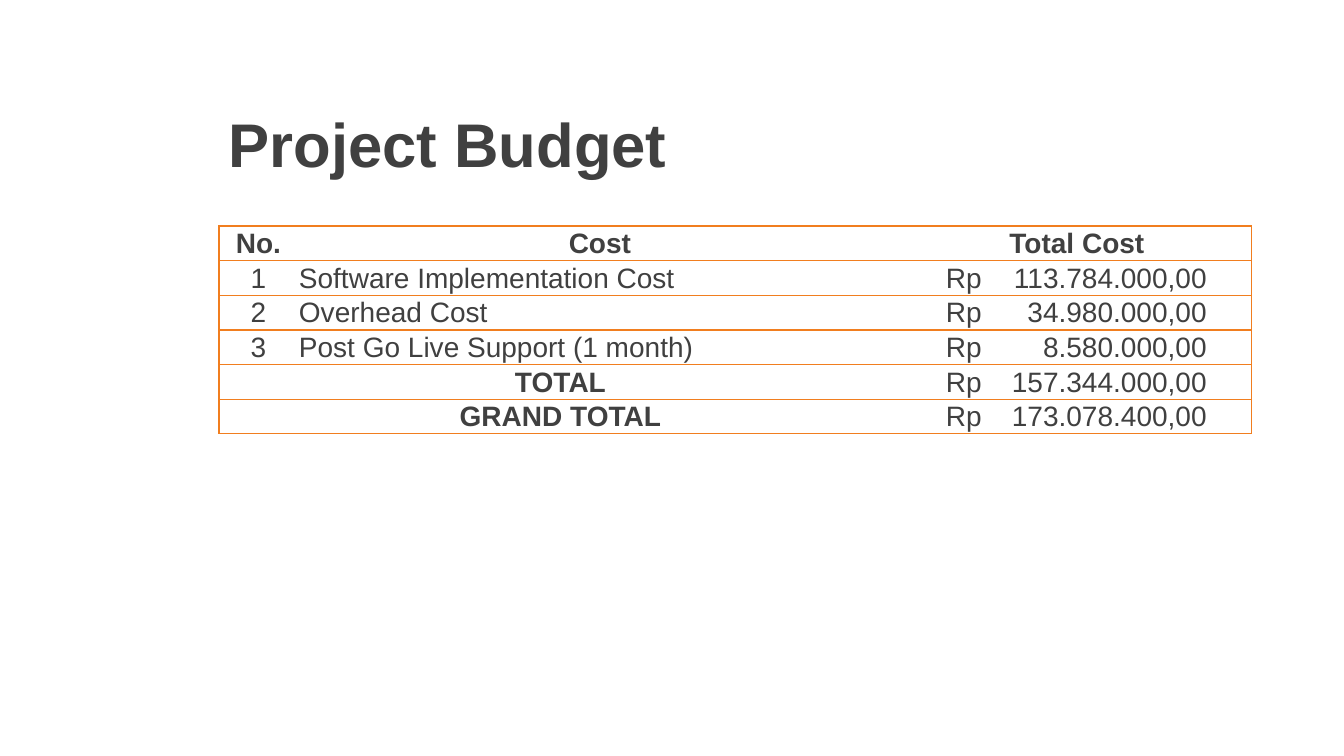
"""Build the project budget slide."""
from dataclasses import dataclass

from lxml import etree
from pptx import Presentation
from pptx import util as u
from pptx.dml.color import RGBColor
from pptx.enum import text
from pptx.oxml import ns

PX_PER_INCH = 100.8
FONT = "Arial"
INK, ORANGE, WHITE = "404040", "F17E1F", "FFFFFF"
LEFT, WIDTH = 219, 1033
COLUMNS = (79, 604, 350)
ROW_HEIGHT = 32
CURRENCY_INDENT, AMOUNT_TAB = 44, 261
CENTER, START = text.PP_ALIGN.CENTER, text.PP_ALIGN.LEFT


@dataclass(frozen=True)
class BudgetRow:
    """One table row; a row without a number spans its label."""
    number: str
    label: str
    amount: str
    header: bool = False


BUDGET = (
    BudgetRow("No.", "Cost", "Total Cost", header=True),
    BudgetRow("1", "Software Implementation Cost", "113.784.000,00"),
    BudgetRow("2", "Overhead Cost", "34.980.000,00"),
    BudgetRow("3", "Post Go Live Support (1 month)", "8.580.000,00"),
    BudgetRow("", "TOTAL", "157.344.000,00"),
    BudgetRow("", "GRAND TOTAL", "173.078.400,00"),
)


def px(length: int) -> u.Emu:
    """Turn pixels into EMU."""
    return u.Emu(round(length * 914400 / PX_PER_INCH))


def color(value: str) -> RGBColor:
    """Turn a hex string into a colour."""
    return RGBColor.from_string(value)


def style(paragraph, size: int, bold: bool, align) -> None:
    """Set the font and alignment of a paragraph."""
    paragraph.alignment = align
    font = paragraph.font
    font.name, font.size, font.bold = FONT, u.Pt(size), bold
    font.color.rgb = color(INK)


def add_borders(cell, sides: str) -> None:
    """Draw the named sides of a cell and hide the others."""
    properties = cell._tc.get_or_add_tcPr()
    for side in "LRTB":
        line = etree.SubElement(properties, ns.qn(f"a:ln{side}"), w=str(u.Pt(1)))
        if side in sides:
            fill = etree.SubElement(line, ns.qn("a:solidFill"))
            etree.SubElement(fill, ns.qn("a:srgbClr"), val=ORANGE)
        else:
            etree.SubElement(line, ns.qn("a:noFill"))


def add_amount_tab(paragraph) -> None:
    """Align the amount to the right at a tab stop."""
    stops = etree.SubElement(paragraph._p.get_or_add_pPr(), ns.qn("a:tabLst"))
    stop = etree.Element(ns.qn("a:tab"), pos=str(px(AMOUNT_TAB)), algn="r")
    stops.append(stop)
    default_font = paragraph._p.pPr.find(ns.qn("a:defRPr"))
    if default_font is not None:
        default_font.addprevious(stops)


def prepare_cell(cell, sides: str) -> None:
    """Give a cell its borders, fill and margins."""
    add_borders(cell, sides)
    cell.fill.solid()
    cell.fill.fore_color.rgb = color(WHITE)
    cell.vertical_anchor = text.MSO_ANCHOR.MIDDLE
    cell.margin_left = cell.margin_right = cell.margin_top = px(1)
    cell.margin_bottom = 0


def write(cell, content: str, bold: bool, align):
    """Write a cell and return its paragraph."""
    paragraph = cell.text_frame.paragraphs[0]
    paragraph.text = content
    style(paragraph, 20, bold, align)
    return paragraph


def add_title(slide, content: str) -> None:
    """Add the slide title."""
    frame = slide.shapes.add_textbox(px(LEFT), px(42), px(WIDTH), px(143)).text_frame
    frame.word_wrap = True
    frame.vertical_anchor = text.MSO_ANCHOR.BOTTOM
    heading = frame.paragraphs[0]
    heading.text = content
    heading.line_spacing = 0.85
    style(heading, 44, True, START)


def add_budget(slide) -> None:
    """Add the budget table."""
    budget = slide.shapes.add_table(
        len(BUDGET), len(COLUMNS), px(LEFT), px(226), px(WIDTH), px(ROW_HEIGHT * len(BUDGET))
    ).table
    budget.first_row = budget.horz_banding = False
    for column, width in zip(budget.columns, COLUMNS):
        column.width = px(width)
    for index, row in enumerate(BUDGET):
        budget.rows[index].height = px(ROW_HEIGHT)
        number, label, amount = cells = [budget.cell(index, i) for i in range(len(COLUMNS))]
        for cell, sides in zip(cells, ("LTB", "TB", "RTB")):
            prepare_cell(cell, sides)
        if row.number:
            write(number, row.number, row.header, CENTER)
            write(label, row.label, row.header, CENTER if row.header else START)
        else:
            number.merge(label)
            write(number, row.label, True, CENTER)
        if row.header:
            write(amount, row.amount, True, CENTER)
        else:
            amount.margin_left = px(CURRENCY_INDENT)
            add_amount_tab(write(amount, f"Rp\t{row.amount}", False, START))


def main() -> None:
    """Build and save the slide."""
    deck = Presentation()
    deck.slide_width, deck.slide_height = px(1344), px(756)
    slide = deck.slides.add_slide(deck.slide_layouts[6])
    add_title(slide, "Project Budget")
    add_budget(slide)
    deck.save("out.pptx")


if __name__ == "__main__":
    main()
